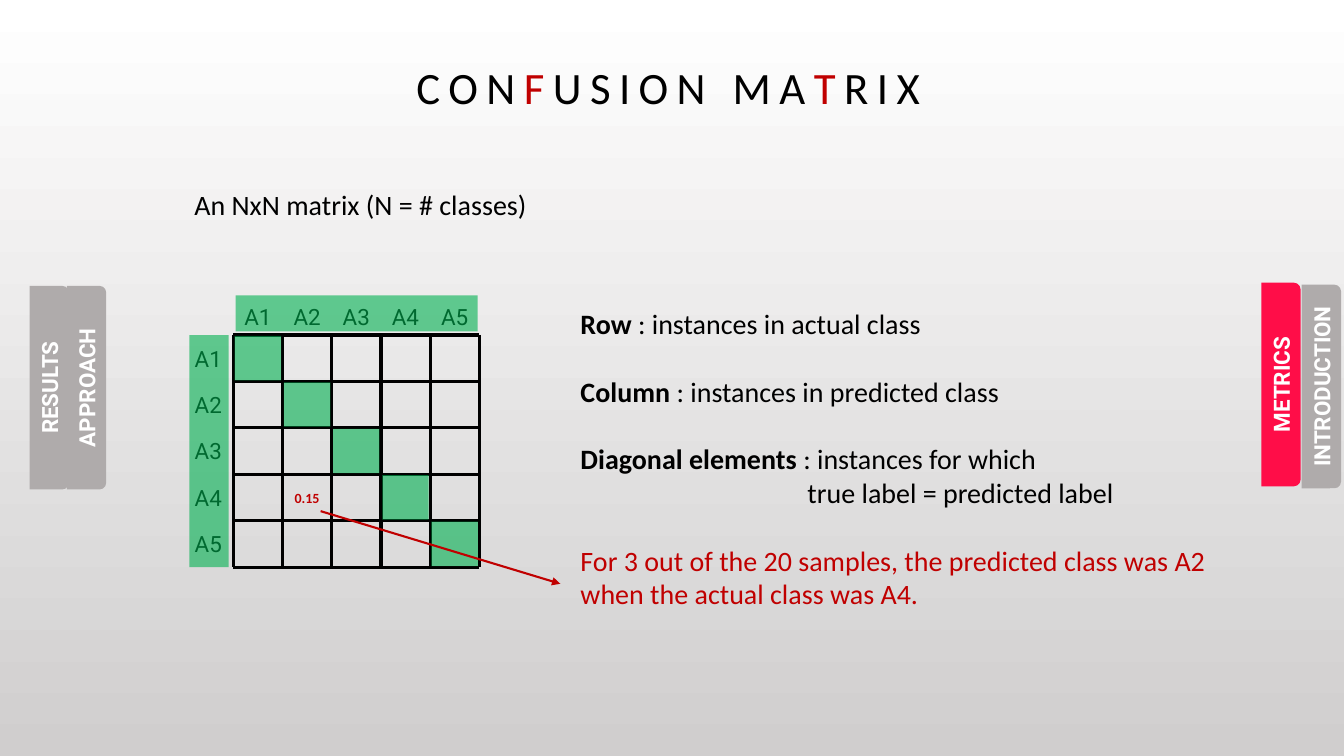
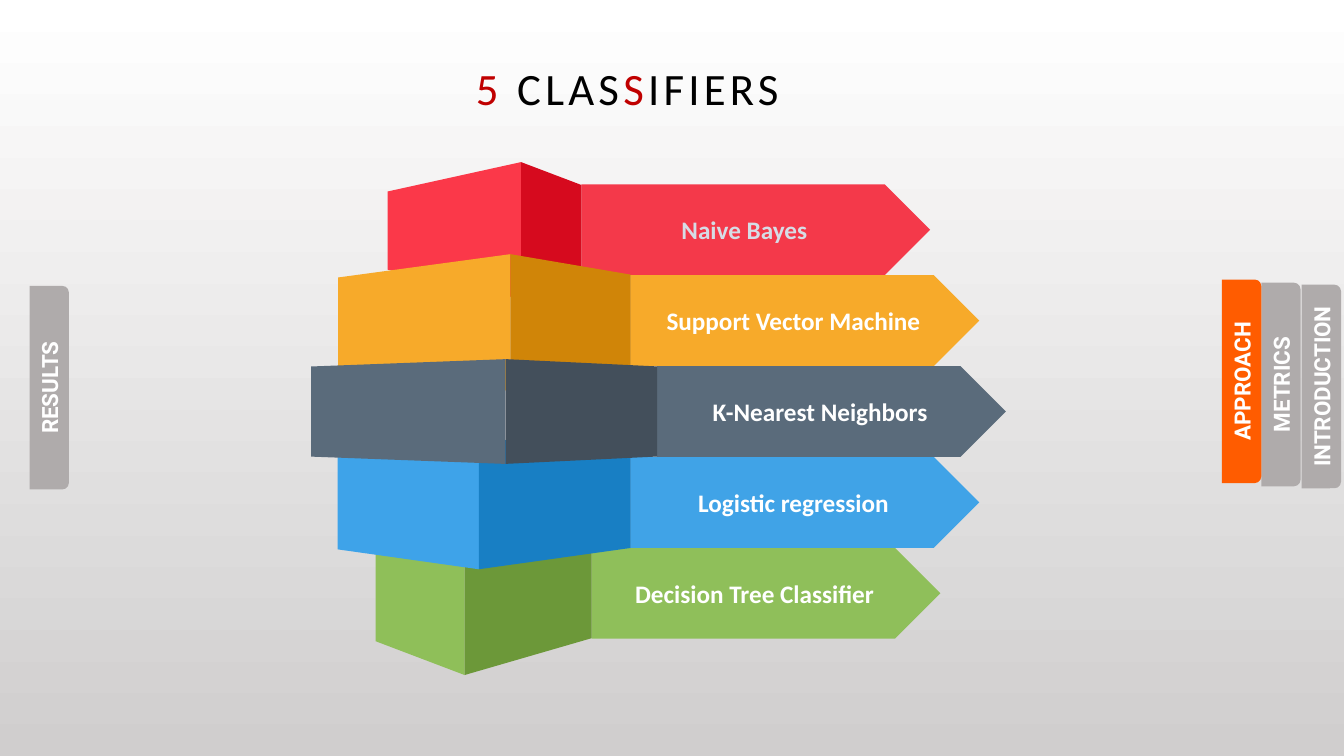
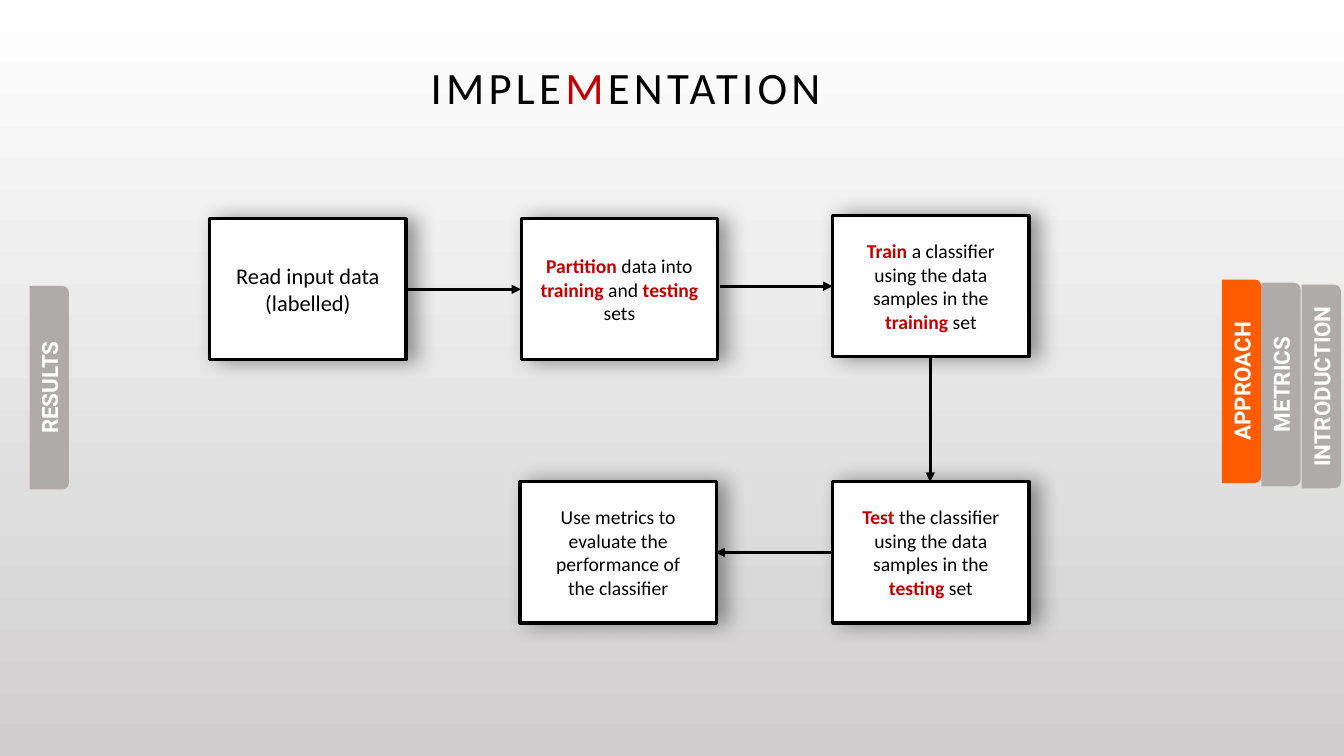
from dataclasses import dataclass

from lxml.etree import SubElement
from pptx import Presentation
from pptx.dml.color import RGBColor
from pptx.enum.shapes import MSO_CONNECTOR, MSO_SHAPE
from pptx.enum.text import MSO_ANCHOR, PP_ALIGN
from pptx.oxml.ns import qn
from pptx.util import Cm, Pt


@dataclass(frozen=True)
class Theme:
    font: str = "Calibri"
    label_font: str = "Roboto"
    black: str = "000000"
    white: str = "FFFFFF"
    shade: str = "D0CECE"
    red: str = "C00000"
    green: str = "00B050"
    tab: str = "AFABAB"
    metrics: str = "FF0D48"
    approach: str = "FF5C00"
    pale: str = "D6DCE5"
    title: int = 32
    body: int = 20
    plate: int = 18
    label: int = 16
    step: int = 14
    value: int = 10
    rule: float = 2.25


T = Theme()


def block(s, kind, box, fill=None, lines=(), size=T.label, color=T.black,
          bold=False, font=T.font, accent=T.red, strong=False, rot=0,
          align=PP_ALIGN.CENTER, anchor=MSO_ANCHOR.MIDDLE, alpha=None):
    cx, cy, w, h = box
    frame = Cm(cx - w / 2), Cm(cy - h / 2), Cm(w), Cm(h)
    if kind is None:
        sp = s.shapes.add_textbox(*frame)
    else:
        sp = s.shapes.add_shape(kind, *frame)
        sp.shadow.inherit = False
        sp.line.fill.background()
        sp.fill.solid()
        sp.fill.fore_color.rgb = RGBColor.from_string(fill)
    if alpha:
        rgb = sp._element.spPr.find(".//" + qn("a:srgbClr"))
        SubElement(rgb, qn("a:alpha")).set("val", str(alpha * 1000))
    sp.rotation = rot
    tf = sp.text_frame
    tf.word_wrap = True
    tf.vertical_anchor = anchor
    for i, line in enumerate(lines):
        p = tf.add_paragraph() if i else tf.paragraphs[0]
        p.alignment = align
        p.font.name = font
        p.font.size = Pt(size)
        p.font.bold = bold
        p.font.color.rgb = RGBColor.from_string(color)
        for j, part in enumerate(line.split("*")):
            if part:
                r = p.add_run()
                r.text = part
                if j % 2:
                    r.font.color.rgb = RGBColor.from_string(accent)
                    r.font.bold = strong
    return sp


def rule(s, x1, y1, x2, y2, color=T.black, width=T.rule, arrow=False):
    c = s.shapes.add_connector(MSO_CONNECTOR.STRAIGHT, Cm(x1), Cm(y1), Cm(x2), Cm(y2))
    c.line.color.rgb = RGBColor.from_string(color)
    c.line.width = Pt(width)
    if arrow:
        SubElement(c.line._get_or_add_ln(), qn("a:tailEnd")).set("type", "triangle")
    SubElement(c._element.spPr, qn("a:effectLst"))


prs = Presentation()
prs.slide_width, prs.slide_height = Cm(33.87), Cm(19.05)

slides = []
for title, cx, cy, spacing, approach_at, active, active_fill in [
    ("CON*F*USION MA*T*RIX", 16.84, 2.16, 6, (2.18, 9.77), "METRICS", T.metrics),
    ("*5* CLAS*S*IFIERS", 15.81, 2.2, 3, (31.29, 9.61), "APPROACH", T.approach),
    ("IMPLE*M*ENTATION", 15.77, 2.16, 3, (31.29, 9.61), "APPROACH", T.approach),
]:
    s = prs.slides.add_slide(prs.slide_layouts[6])
    slides.append(s)
    bg = s.background.fill
    bg.gradient()
    bg.gradient_angle = 270
    for stop, color in zip(bg.gradient_stops, (T.white, T.shade)):
        stop.color.rgb = RGBColor.from_string(color)

    for name, x, y in [("INTRODUCTION", 33.3, 9.74), ("METRICS", 32.28, 9.69),
                       ("APPROACH", *approach_at), ("RESULTS", 1.24, 9.77)]:
        fill = active_fill if name == active else T.tab
        block(s, MSO_SHAPE.ROUND_2_SAME_RECTANGLE, (x, y, 5.13, 0.99), fill, rot=90)
        block(s, None, (x, y, 5.13, 0.76), lines=[name], color=T.white,
              bold=True, font=T.label_font, rot=270)

    sp = block(s, None, (cx, cy, 30.2, 1.68), lines=[title], size=T.title,
               anchor=MSO_ANCHOR.BOTTOM)
    p = sp.text_frame.paragraphs[0]
    p.line_spacing = 0.9
    for r in p.runs:
        r._r.get_or_add_rPr().set("spc", str(spacing * 100))

matrix, classifiers, implementation = slides

n = 5
left, top, col, row = 5.88, 8.44, 1.24, 1.17
right, bottom = left + n * col, top + n * row
for i in range(n + 1):
    rule(matrix, left, top + i * row, right, top + i * row)
    rule(matrix, left + i * col, top, left + i * col, bottom)
col_mid = [left + (i + 0.5) * col for i in range(n)]
row_mid = [top + (i + 0.5) * row for i in range(n)]
for i in range(n):
    for x, y in [(col_mid[i], 7.98), (5.25, row_mid[i])]:
        block(matrix, None, (x, y, 2, 0.8), lines=[f"A{i + 1}"], font=T.label_font)
bands = [(5.27, 11.37, 0.99, 5.85), (8.99, 7.9, 6.1, 0.91)]
diagonal = [(x, y, 1.17, 1.12) for x, y in zip(col_mid, row_mid)]
for box in bands + diagonal:
    block(matrix, MSO_SHAPE.RECTANGLE, box, T.green, alpha=60)
block(matrix, None, (col_mid[1], row_mid[3], 2, 1.12), lines=["0.15"],
      size=T.value, color=T.red, bold=True)
rule(matrix, 8.08, 12.88, 14.12, 14.71, T.red, 1.5, arrow=True)

block(matrix, None, (12.1, 5.16, 14.9, 1.12), lines=["An NxN matrix (N = # classes)"],
      size=T.body, align=PP_ALIGN.LEFT, anchor=MSO_ANCHOR.TOP)
sp = block(matrix, None, (22.51, 11.57, 16.26, 7.95), lines=[
    "*Row* : instances in actual class",
    "*Column* : instances in predicted class",
    "*Diagonal elements* : instances for which",
    "true label = predicted label",
    "For 3 out of the 20 samples, the predicted class was A2 when the actual class was A4.",
], size=T.body, accent=T.black, strong=True, align=PP_ALIGN.LEFT, anchor=MSO_ANCHOR.TOP)
paragraphs = sp.text_frame.paragraphs
for i in (1, 2, 4):
    paragraphs[i].space_before = Pt(24.4)
paragraphs[3]._p.get_or_add_pPr().set("marL", str(Cm(5.72)))
paragraphs[4].font.color.rgb = RGBColor.from_string(T.red)

plate_w, plate_h = 8.79, 2.29
for level, name, x1, seam, x2, cy, tall, adj1, adj2, plate, light, dark, ink in [
    (4, "Decision Tree Classifier", 9.47, 11.71, 14.91, 14.98, 4.06, 0.38, 0.29,
     "8FBF5A", "8FBF59", "6C9839", T.white),
    (3, "Logistic regression", 8.51, 12.07, 15.89, 12.67, 3.35, 0.15, 0.16,
     "40A3E7", "3EA3E9", "187FC4", T.white),
    (0, "Naive Bayes", 9.77, 13.13, 14.65, 5.81, 3.45, 0.22, 0.38,
     "F4394A", "FB3849", "D60A1E", T.pale),
    (1, "Support Vector Machine", 8.52, 12.86, 15.89, 8.13, 3.45, 0.17, 0.17,
     "F7AA2A", "F7AA2A", "D08508", T.white),
    (2, "K-Nearest Neighbors", 7.84, 12.74, 16.56, 10.37, 2.64, 0.07, 0.07,
     "5A6B7B", "5A6B7B", "434F5B", T.white),
]:
    block(classifiers, MSO_SHAPE.PENTAGON,
          (x2 + plate_w / 2, 5.79 + level * plate_h, plate_w, plate_h), plate,
          [name], T.plate, ink, bold=True)
    for a, b, adj, fill, rot in [(x1, seam, adj1, light, 270), (seam, x2, adj2, dark, 90)]:
        sp = block(classifiers, MSO_SHAPE.TRAPEZOID, ((a + b) / 2, cy, tall, b - a),
                   fill, rot=rot)
        sp.adjustments[0] = adj

for cx, cy, size, lines in [
    (7.76, 7.29, T.label, ["Read input data", "(labelled)"]),
    (15.61, 7.29, T.step, ["*Partition* data into *training* and *testing* sets"]),
    (23.46, 7.21, T.step, ["*Train* a classifier",
                           "using the data samples in the *training* set"]),
    (23.46, 13.92, T.step, ["*Test* the classifier using the data samples in the",
                            "*testing* set"]),
    (15.58, 13.92, T.step, ["Use metrics to evaluate the performance of",
                            "the classifier"]),
]:
    sp = block(implementation, MSO_SHAPE.RECTANGLE, (cx, cy, 4.95, 3.56), T.white,
               lines, size, strong=True)
    sp.line.color.rgb = RGBColor.from_string(T.black)
    sp.line.width = Pt(T.rule)
    shadow = SubElement(sp._element.spPr.find(qn("a:effectLst")), qn("a:outerShdw"),
                        blurRad=str(Pt(15)), dist=str(Pt(6)), dir="0")
    rgb = SubElement(shadow, qn("a:srgbClr"), val=T.black)
    SubElement(rgb, qn("a:alpha"), val="40000")

for ends in [(10.26, 7.29, 13.13, 7.29), (18.14, 7.21, 20.98, 7.21),
             (23.44, 8.99, 23.44, 12.14), (20.98, 13.92, 18.03, 13.92)]:
    rule(implementation, *ends, arrow=True)

prs.save("out.pptx")
